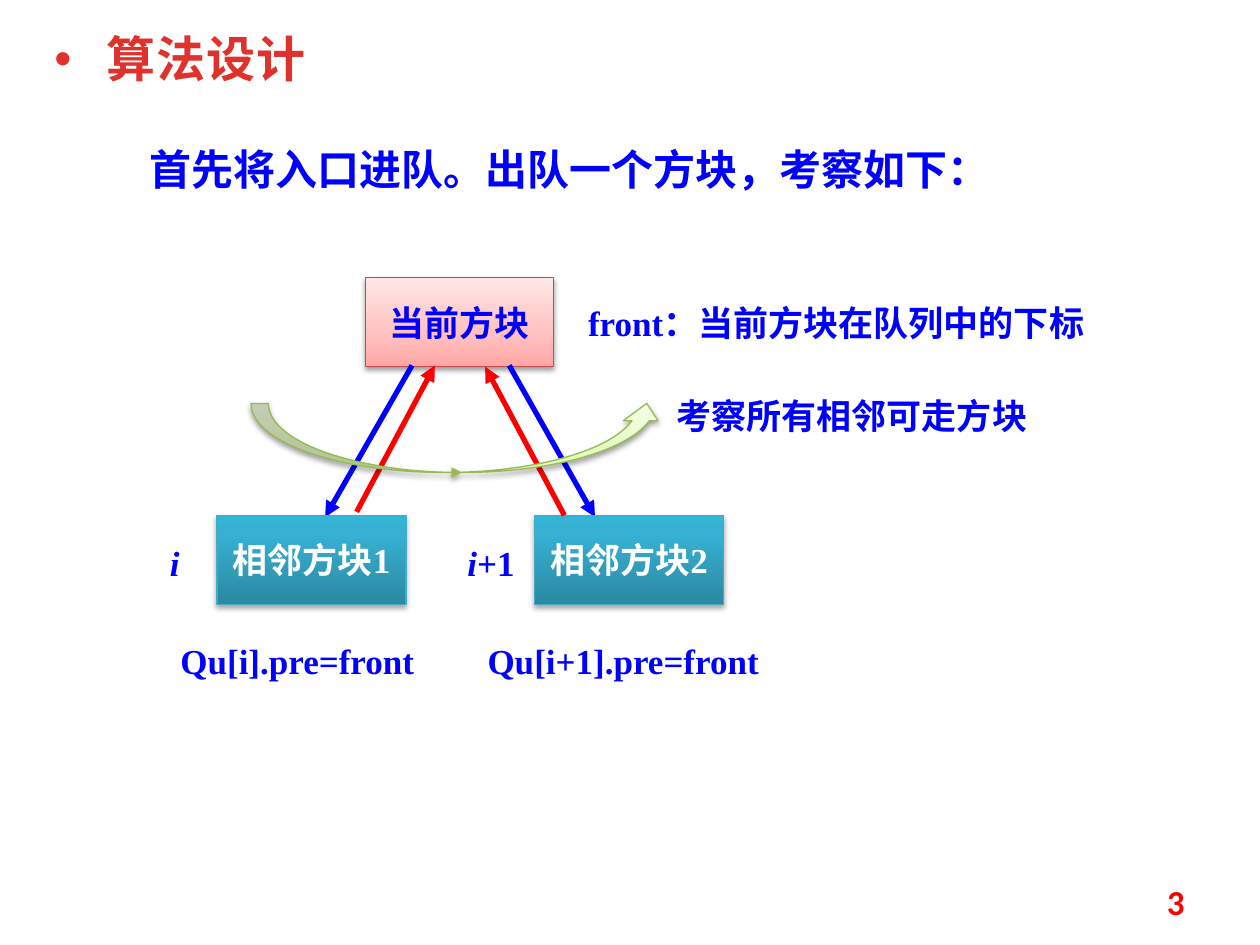
"""Build the algorithm design slide about queueing neighbouring blocks."""
from lxml.etree import SubElement
from pptx import Presentation
from pptx.dml.color import RGBColor as Rgb
from pptx.enum.shapes import MSO_CONNECTOR as Link, MSO_SHAPE as Preset
from pptx.enum.text import MSO_ANCHOR as Anchor, MSO_AUTO_SIZE as Fit, PP_ALIGN as Align
from pptx.oxml.ns import qn
from pptx.util import Pt

COLORS = {"blue": "0000FF", "red": "FF0000", "title": "E0322D", "white": "FFFFFF",
          "current_edge": "BF4C48", "neighbor_edge": "46AAC5", "sweep_edge": "98B955"}
GRADIENTS = {"current": [(0, "FFA6A5"), (35, "FFC0BF"), (100, "FFE7E7")],
             "neighbor": [(0, "2A88A2"), (80, "37B1D2"), (100, "34B4D6")],
             "sweep": [(0, "DAFDA7"), (35, "E4FCC2"), (100, "F5FFE7")]}


class Painter:
    """Hold the text style and the current page."""

    def __init__(self, page):
        self.page = page
        self.font = {"name": "Times New Roman", "size": Pt(20), "bold": True}

    def apply(self, target, values):
        for name, value in values.items():
            setattr(target, name, value)

    def add_text(self, para, text, color="blue", **changes):
        span = para.add_run()
        span.text = text
        self.apply(span.font, {**self.font, **changes})
        span.font.color.rgb = Rgb.from_string(COLORS[color])
        props = span._r.get_or_add_rPr()
        SubElement(props, qn("a:ea")).set("typeface", "Noto Sans CJK SC")
        return span

    def label(self, text, left, top, width, height, color="blue", **changes):
        box = self.page.shapes.add_textbox(Pt(left), Pt(top), Pt(width), Pt(height))
        self.apply(box.text_frame, {"word_wrap": True, "auto_size": Fit.SHAPE_TO_FIT_TEXT})
        para = box.text_frame.paragraphs[0]
        if text:
            self.add_text(para, text, color, **changes)
        return box

    def title(self, text, *place):
        box = self.label("", *place)
        para = box.text_frame.paragraphs[0]
        self.apply(para, {"alignment": Align.JUSTIFY, "line_spacing": 0.9})
        props = para._p.get_or_add_pPr()
        props.set("marL", str(Pt(30)))
        props.set("indent", str(-Pt(30)))
        SubElement(props, qn("a:buFont")).set("typeface", "Arial")
        SubElement(props, qn("a:buChar")).set("char", "•")
        span = self.add_text(para, text, "title", name="Noto Sans CJK SC", size=Pt(28))
        span._r.get_or_add_rPr().set("spc", "50")

    def number(self, text, *place):
        box = self.label(text, *place, color="red", name="Calibri")
        self.apply(box.text_frame, {"auto_size": Fit.NONE, "vertical_anchor": Anchor.MIDDLE})
        box.text_frame.paragraphs[0].alignment = Align.RIGHT

    def shape(self, preset, style, left, top, width, height, shade=38, blur=3.1, drop=1.6):
        shape = self.page.shapes.add_shape(preset, Pt(left), Pt(top), Pt(width), Pt(height))
        shape.fill.gradient()
        shape.fill.gradient_angle = 90
        props = shape._element.spPr
        stops = props.find(".//" + qn("a:gsLst"))
        for stop in list(stops):
            stops.remove(stop)
        for place, color in GRADIENTS[style]:
            stop = SubElement(stops, qn("a:gs"), pos=str(place * 1000))
            SubElement(stop, qn("a:srgbClr"), val=color)
        shape.line.color.rgb = Rgb.from_string(COLORS[style + "_edge"])
        shape.line.width = Pt(0.75)
        shape.shadow.inherit = False
        shadow = SubElement(props.find(qn("a:effectLst")), qn("a:outerShdw"),
                            blurRad=str(Pt(blur)), dist=str(Pt(drop)), dir="5400000",
                            rotWithShape="0")
        black = SubElement(shadow, qn("a:srgbClr"), val="000000")
        SubElement(black, qn("a:alpha"), val=str(shade * 1000))
        return shape

    def block(self, text, style, color, *place, **shadow):
        box = self.shape(Preset.RECTANGLE, style, *place, **shadow)
        self.apply(box.text_frame, {"word_wrap": False, "vertical_anchor": Anchor.MIDDLE})
        para = box.text_frame.paragraphs[0]
        para.alignment = Align.CENTER
        self.add_text(para, text, color)

    def add_head(self, shape):
        line = shape._element.spPr.find(qn("a:ln"))
        SubElement(line, qn("a:tailEnd"), type="triangle")

    def sweep(self, *place):
        self.add_head(self.shape(Preset.CURVED_UP_ARROW, "sweep", *place))

    def arrow(self, color, start, end):
        points = [Pt(value) for value in (*start, *end)]
        arrow = self.page.shapes.add_connector(Link.STRAIGHT, *points)
        arrow.line.color.rgb = Rgb.from_string(COLORS[color])
        arrow.line.width = Pt(3)
        self.add_head(arrow)
        SubElement(arrow._element.spPr, qn("a:effectLst"))


def main():
    deck = Presentation()
    deck.slide_width, deck.slide_height = Pt(720), Pt(540)
    painter = Painter(deck.slides.add_slide(deck.slide_layouts[6]))

    painter.block("当前方块", "current", "blue", 209, 158.5, 107.5, 51)
    painter.label("front：当前方块在队列中的下标", 329, 169, 304, 31.5)

    neighbors = [
        ("相邻方块1", 124, "", (90, 22.5), "Qu[i].pre=front", (96, 158.5),
         ((235.5, 208.8), (185.8, 295.5)), ((203.8, 292.5), (248.5, 208.8))),
        ("相邻方块2", 305.5, "+1", (260, 45.5), "Qu[i+1].pre=front", (271.5, 181.5),
         ((291, 208.8), (340, 295.5)), ((322.5, 294.5), (277.2, 209.5))),
    ]
    for name, left, offset, (index_left, index_width), code, (code_left, code_width), \
            visit, back in neighbors:
        painter.arrow("blue", *visit)
        painter.block(name, "neighbor", "white", left, 294.5, 108, 51, shade=35, drop=1.8)
        index = painter.label("i", index_left, 306, index_width, 31, italic=True)
        if offset:
            painter.add_text(index.text_frame.paragraphs[0], offset)
        painter.label(code, code_left, 362, code_width, 31)
        painter.arrow("red", *back)

    painter.title("算法设计", 24, 16.5, 201.5, 38)
    painter.label("首先将入口进队。出队一个方块，考察如下：", 78.5, 78.5, 506, 36, size=Pt(24))
    painter.sweep(143.5, 230.5, 236, 39.5)
    painter.label("考察所有相邻可走方块", 379.5, 222, 225.5, 31.5)
    painter.number("3", 516, 500.5, 168, 29)
    deck.save("out.pptx")


if __name__ == "__main__":
    main()
